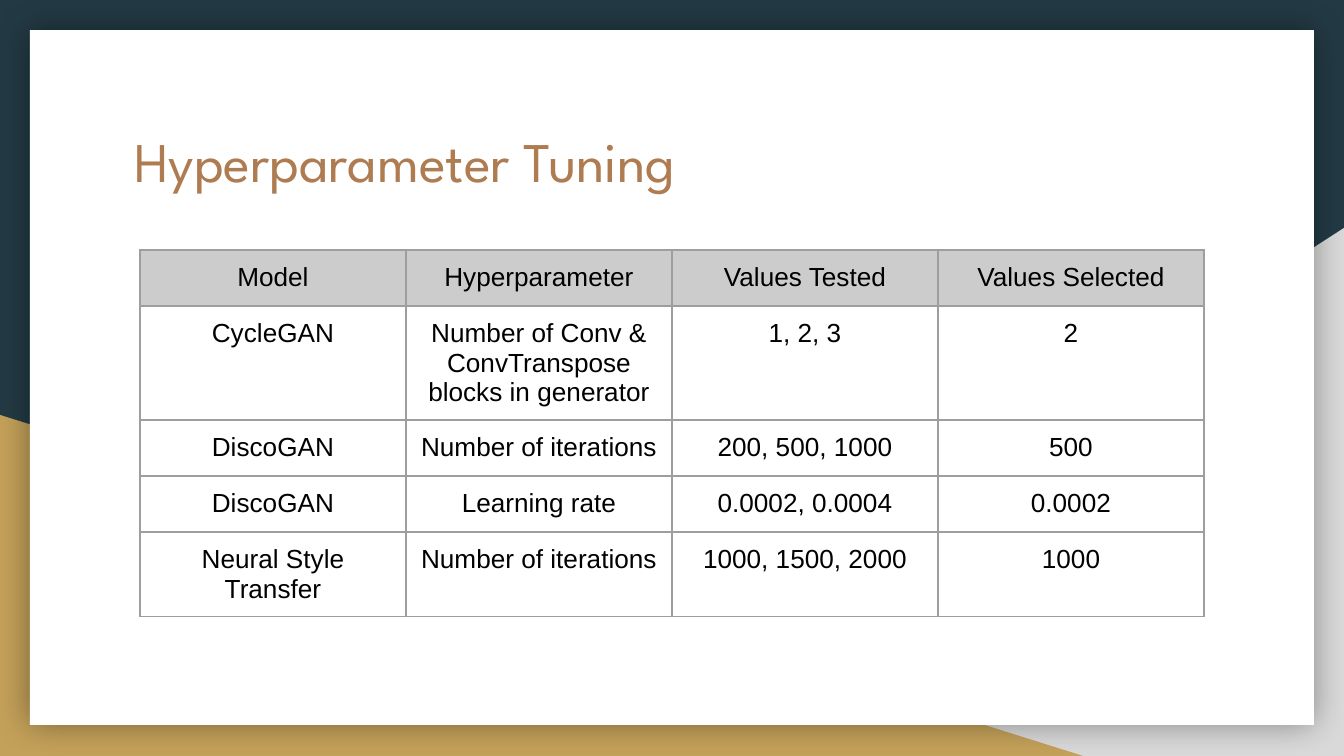
"""Build the hyperparameter tuning slide with its table of tested values."""
from lxml.etree import SubElement
from pptx import Presentation
from pptx.dml.color import RGBColor
from pptx.enum.shapes import MSO_SHAPE
from pptx.enum.text import MSO_ANCHOR, PP_ALIGN
from pptx.oxml import parse_xml
from pptx.oxml.ns import nsdecls, qn
from pptx.util import Emu, Pt

PX = 914400 / 134.4
NAVY = RGBColor(0x23, 0x3A, 0x44)
SILVER = RGBColor(0xD9, 0xD9, 0xD9)
GOLD = RGBColor(0xC4, 0xA1, 0x5A)
WHITE = RGBColor(0xFF, 0xFF, 0xFF)
COPPER = RGBColor(0xAF, 0x7B, 0x51)
HEADER_GREY = RGBColor(0xCC, 0xCC, 0xCC)
BORDER_GREY = RGBColor(0x9E, 0x9E, 0x9E)
BLACK = RGBColor(0x00, 0x00, 0x00)

ROWS = [
    ("Model", "Hyperparameter", "Values Tested", "Values Selected"),
    ("CycleGAN", "Number of Conv & ConvTranspose blocks in generator", "1, 2, 3", "2"),
    ("DiscoGAN", "Number of iterations", "200, 500, 1000", "500"),
    ("DiscoGAN", "Learning rate", "0.0002, 0.0004", "0.0002"),
    ("Neural Style Transfer", "Number of iterations", "1000, 1500, 2000", "1000"),
]


def px(*lengths):
    return [Emu(round(length * PX)) for length in lengths]


def add_panel(shapes, preset, box, color):
    panel = shapes.add_shape(preset, *px(*box))
    panel.shadow.inherit = False
    panel.fill.solid()
    panel.fill.fore_color.rgb = color
    panel.line.fill.background()
    return panel


deck = Presentation()
deck.slide_width, deck.slide_height = px(1344, 756)
slide = deck.slides.add_slide(deck.slide_layouts[5])
slide.background.fill.solid()
slide.background.fill.fore_color.rgb = NAVY

silver_corner = add_panel(slide.shapes, MSO_SHAPE.RIGHT_TRIANGLE, (527, 228, 817, 528), SILVER)
silver_corner.element.spPr.find(qn("a:xfrm")).set("flipH", "1")
add_panel(slide.shapes, MSO_SHAPE.RIGHT_TRIANGLE, (0, 415, 1083, 341), GOLD)
card = add_panel(slide.shapes, MSO_SHAPE.RECTANGLE, (30, 30, 1284, 695), WHITE)
card.element.spPr.find(qn("a:effectLst")).append(parse_xml(
    f'<a:outerShdw {nsdecls("a")} blurRad="{Pt(18)}" dist="0" dir="0" algn="ctr" rotWithShape="0">'
    '<a:srgbClr val="000000"><a:alpha val="40000"/></a:srgbClr></a:outerShdw>'))

title = slide.shapes.title
title.element.getparent().append(title.element)
title.left, title.top, title.width, title.height = px(121, 108, 1103, 105)
heading = title.text_frame
heading.text = "Hyperparameter Tuning"
heading.vertical_anchor = MSO_ANCHOR.MIDDLE
heading.margin_left, heading.margin_right, heading.margin_top, heading.margin_bottom = px(13, 13, 13, 13)
heading.paragraphs[0].alignment = PP_ALIGN.LEFT
heading_font = heading.paragraphs[0].runs[0].font
heading_font.name = "League Spartan"
heading_font.size = Pt(30)
heading_font.color.rgb = COPPER

tuning = slide.shapes.add_table(len(ROWS), len(ROWS[0]), *px(140, 250, 4 * 266, 5 * 56)).table
tuning.first_row = False
tuning.horz_banding = False
for row_index, values in enumerate(ROWS):
    for column_index, value in enumerate(values):
        cell = tuning.cell(row_index, column_index)
        cell.text_frame.text = value
        cell.margin_left, cell.margin_right, cell.margin_top, cell.margin_bottom = px(13, 13, 13, 13)
        entry = cell.text_frame.paragraphs[0]
        entry.alignment = PP_ALIGN.CENTER
        entry_font = entry.runs[0].font
        entry_font.name = "Arial"
        entry_font.size = Pt(14)
        entry_font.color.rgb = BLACK
        cell_properties = cell._tc.get_or_add_tcPr()
        for side in ("a:lnL", "a:lnR", "a:lnT", "a:lnB"):
            border = SubElement(cell_properties, qn(side), w=str(Pt(0.75)))
            border_fill = SubElement(border, qn("a:solidFill"))
            SubElement(border_fill, qn("a:srgbClr"), val=str(BORDER_GREY))
        if row_index == 0:
            cell.fill.solid()
            cell.fill.fore_color.rgb = HEADER_GREY
        else:
            cell.fill.background()

deck.save("out.pptx")
